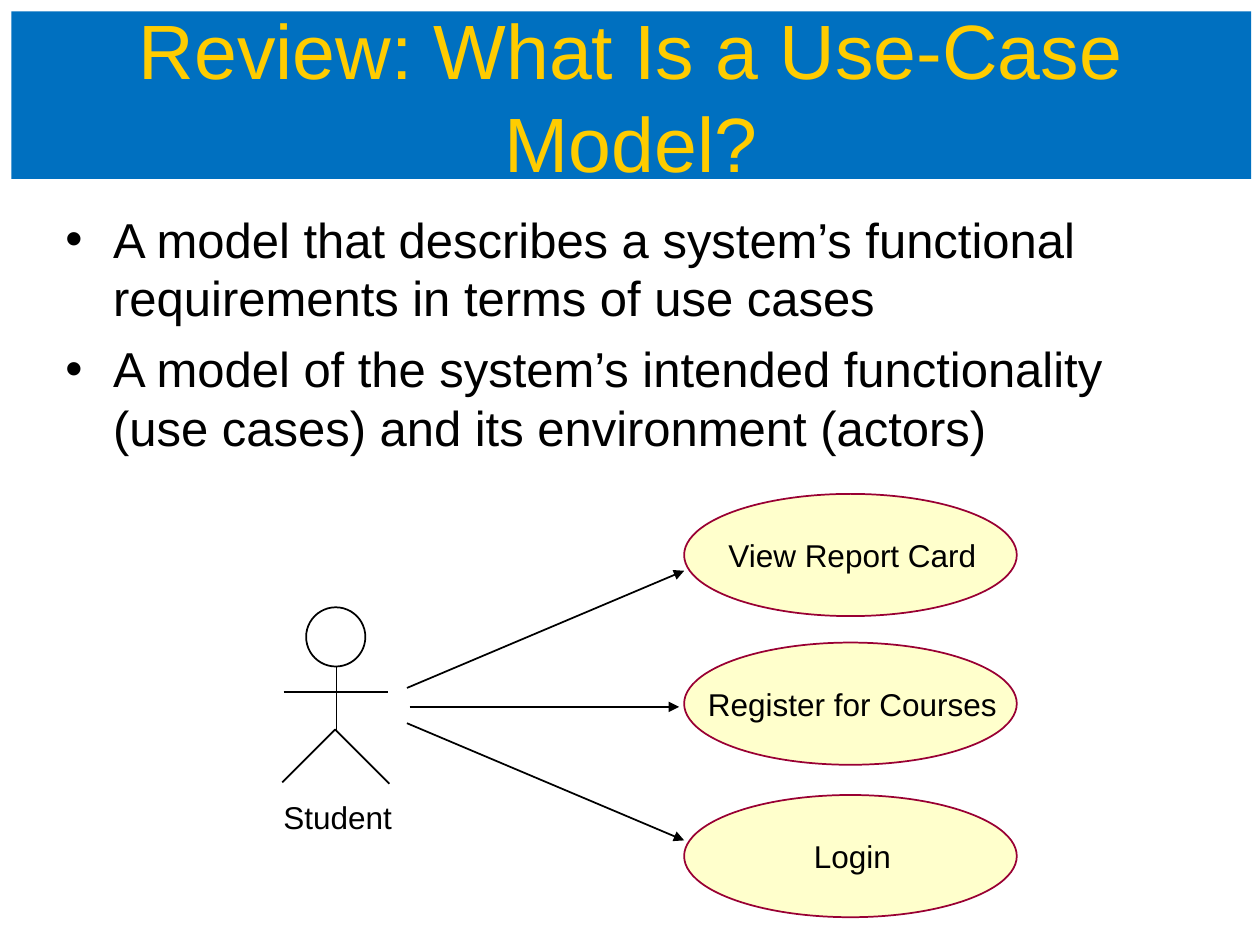
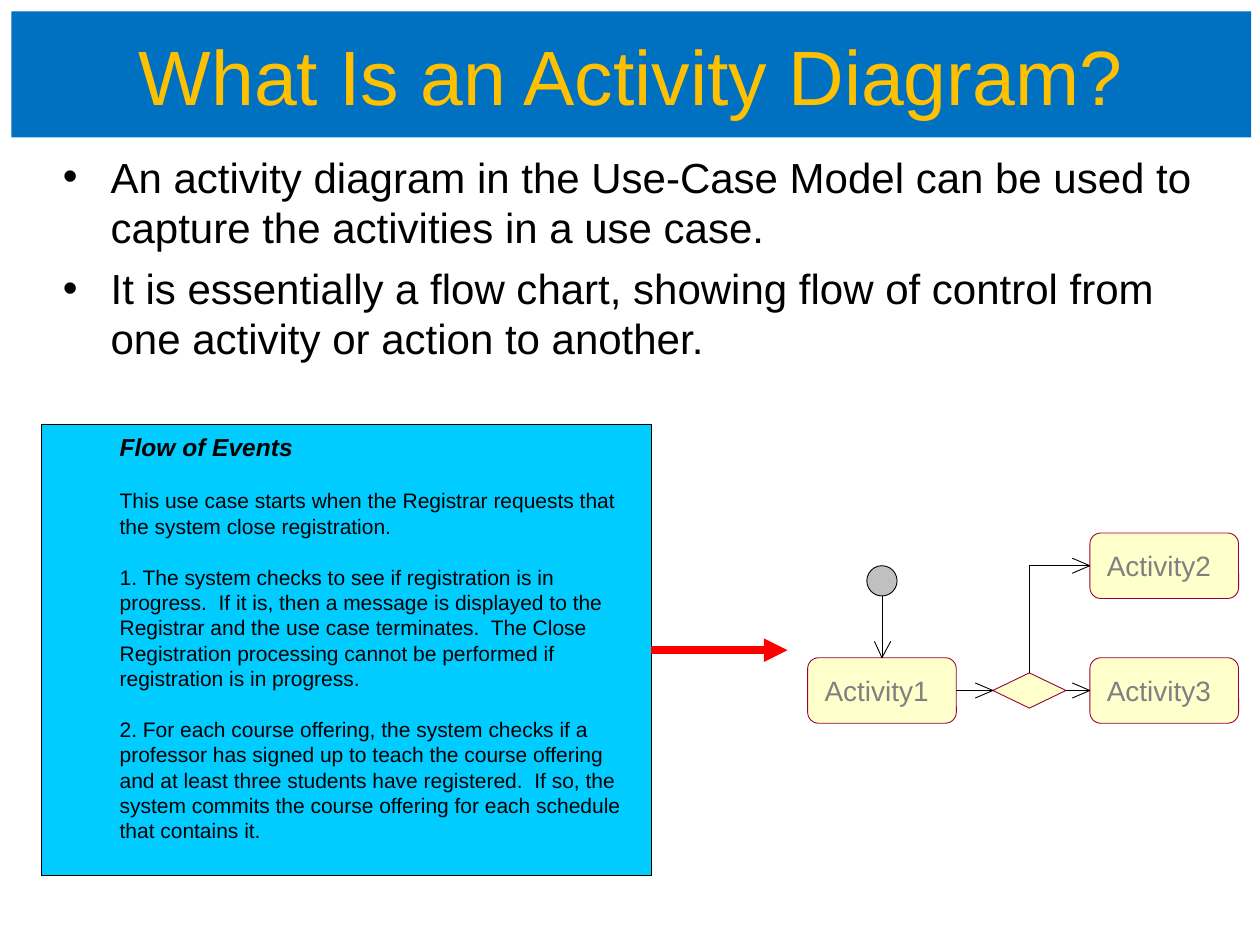
import pptx
import pptx.util
import pptx.dml.color
import pptx.enum.shapes
import pptx.enum.text
import pptx.oxml.ns
from lxml import etree

Inches = pptx.util.Inches
Pt = pptx.util.Pt
RGBColor = pptx.dml.color.RGBColor
SHAPE = pptx.enum.shapes.MSO_SHAPE
ALIGN = pptx.enum.text.PP_ALIGN
ANCHOR = pptx.enum.text.MSO_ANCHOR
qn = pptx.oxml.ns.qn

FONT = "Arial"
HAIRLINE = 0.5
BLUE = RGBColor(0x00, 0x70, 0xC0)
YELLOW = RGBColor(0xFF, 0xCC, 0x00)
GOLD = RGBColor(0xFF, 0xC0, 0x00)
CREAM = RGBColor(0xFF, 0xFF, 0xCC)
MAROON = RGBColor(0x99, 0x00, 0x33)
CYAN = RGBColor(0x00, 0xCC, 0xFF)
SILVER = RGBColor(0xC0, 0xC0, 0xC0)
GRAY = RGBColor(0x80, 0x80, 0x80)
RED = RGBColor(0xFF, 0x00, 0x00)
BLACK = RGBColor(0x00, 0x00, 0x00)


def add_box(s, kind, at, fill=None, line=None, width=HAIRLINE):
    sp = s.shapes.add_shape(kind, *[Inches(v) for v in at])
    sp.shadow.inherit = False
    if fill is None:
        sp.fill.background()
    else:
        sp.fill.solid()
        sp.fill.fore_color.rgb = fill
    if line is None:
        sp.line.fill.background()
    else:
        sp.line.color.rgb = line
        sp.line.width = Pt(width)
    return sp


def add_text(sp, texts, size, color=BLACK, align=ALIGN.LEFT, anchor=ANCHOR.MIDDLE, wrap=True):
    tf = sp.text_frame
    tf.word_wrap = wrap
    tf.vertical_anchor = anchor
    for i, text in enumerate(texts):
        p = tf.paragraphs[0] if i == 0 else tf.add_paragraph()
        p.alignment = align
        r = p.add_run()
        r.text = text
        r.font.name = FONT
        r.font.size = Pt(size)
        r.font.color.rgb = color
    return tf


prs = pptx.Presentation()
prs.slide_width = Inches(10)
prs.slide_height = Inches(7.5)

pages = [
    ("Review: What Is a Use-Case Model?", YELLOW, 1.33, (0.42, 1.61, 9.16, 2.2), 28, 7, [
        "A model that describes a system’s functional requirements in terms of use cases",
        "A model of the system’s intended functionality (use cases) and its environment (actors)",
    ]),
    ("What Is an Activity Diagram?", GOLD, 1, (0.4, 1.15, 9.27, 2), 24, 6, [
        "An activity diagram in the Use-Case Model can be used to capture the activities in a use case.",
        "It is essentially a flow chart, showing flow of control from one activity or action to another.",
    ]),
]
for title, color, height, at, size, gap, bullets in pages:
    s = prs.slides.add_slide(prs.slide_layouts[6])
    band = add_box(s, SHAPE.RECTANGLE, (0.09, 0.09, 9.84, height), BLUE)
    add_text(band, [title], 44, color, ALIGN.CENTER)
    body = s.shapes.add_textbox(*[Inches(v) for v in at])
    tf = add_text(body, bullets, size, anchor=ANCHOR.TOP)
    for i, p in enumerate(tf.paragraphs):
        pPr = p._p.get_or_add_pPr()
        pPr.set("marL", str(Inches(0.38)))
        pPr.set("indent", str(-Inches(0.38)))
        etree.SubElement(pPr, qn("a:buFont")).set("typeface", FONT)
        etree.SubElement(pPr, qn("a:buChar")).set("char", "•")
        if i:
            p.space_before = Pt(gap)

use_case, activity = prs.slides

for name, y in [("View Report Card", 3.92), ("Register for Courses", 5.1), ("Login", 6.31)]:
    sp = add_box(use_case, SHAPE.OVAL, (5.43, y, 2.64, 0.97), CREAM, MAROON, 1)
    tf = add_text(sp, [name], 18, align=ALIGN.CENTER, wrap=False)
    tf.margin_left = Inches(0.13)

add_box(use_case, SHAPE.OVAL, (2.43, 4.82, 0.47, 0.47), None, BLACK, 1)
student = use_case.shapes.add_textbox(Inches(2.13), Inches(6.27), Inches(1.1), Inches(0.42))
add_text(student, ["Student"], 18, align=ALIGN.CENTER, wrap=False)

flow = add_box(activity, SHAPE.RECTANGLE, (0.33, 3.37, 4.84, 3.58), CYAN, BLACK, 0.75)
tf = add_text(flow, [
    "Flow of Events",
    "This use case starts when the Registrar requests that the system close registration.",
    "1. The system checks to see if registration is in progress.  If it is, then a message is "
    "displayed to the Registrar and the use case terminates.  The Close Registration processing "
    "cannot be performed if registration is in progress.",
    "2. For each course offering, the system checks if a professor has signed up to teach the "
    "course offering and at least three students have registered.  If so, the system commits "
    "the course offering for each schedule that contains it.",
], 12, anchor=ANCHOR.TOP)
tf.margin_left = tf.margin_right = Inches(0.12)
tf.margin_top = tf.margin_bottom = Inches(0.06)
for i, p in enumerate(tf.paragraphs):
    p._p.get_or_add_pPr().set("marL", str(Inches(0.5)))
    p.space_after = Pt(3)
    if i:
        p.space_before = Pt(12)
heading = tf.paragraphs[0].runs[0].font
heading.size = Pt(14)
heading.bold = True
heading.italic = True

add_box(activity, SHAPE.OVAL, (6.88, 4.49, 0.24, 0.24), SILVER, BLACK)
decision = add_box(activity, SHAPE.DIAMOND, (7.88, 5.34, 0.58, 0.28), CREAM, MAROON)
steps = []
for name, x, y in [("Activity1", 6.41, 5.22), ("Activity2", 8.65, 4.23), ("Activity3", 8.65, 5.22)]:
    sp = add_box(activity, SHAPE.ROUNDED_RECTANGLE, (x, y, 1.18, 0.52), CREAM, MAROON)
    tf = add_text(sp, [name], 16, GRAY, wrap=False)
    tf.margin_left = Inches(0.11)
    steps.append(sp)
first, second, third = steps

lines = [
    (use_case, (2.67, 5.29, 2.67, 5.8), BLACK, 1, False, None, None),
    (use_case, (2.25, 5.49, 3.08, 5.49), BLACK, 1, False, None, None),
    (use_case, (3.23, 5.46, 5.43, 4.53), BLACK, 1, True, None, None),
    (use_case, (3.25, 5.61, 5.39, 5.61), BLACK, 1, True, None, None),
    (use_case, (3.23, 5.74, 5.43, 6.67), BLACK, 1, True, None, None),
    (activity, (5.17, 5.16, 6.25, 5.16), RED, 4.5, True, (flow, 3), None),
    (activity, (7, 4.73, 7, 5.22), BLACK, HAIRLINE, False, None, (first, 0)),
    (activity, (7.59, 5.48, 7.88, 5.48), BLACK, HAIRLINE, False, (first, 3), (decision, 1)),
    (activity, (8.46, 5.48, 8.65, 5.48), BLACK, HAIRLINE, False, (decision, 3), (third, 1)),
    (activity, (8.17, 5.34, 8.17, 4.49), BLACK, HAIRLINE, False, (decision, 0), None),
    (activity, (8.17, 4.49, 8.65, 4.49), BLACK, HAIRLINE, False, None, (second, 1)),
]
for s, ends, color, width, arrow, begin, end in lines:
    c = s.shapes.add_connector(pptx.enum.shapes.MSO_CONNECTOR.STRAIGHT, *[Inches(v) for v in ends])
    c.line.color.rgb = color
    c.line.width = Pt(width)
    if begin:
        c.begin_connect(*begin)
    if end:
        c.end_connect(*end)
    if arrow:
        etree.SubElement(c.line._get_or_add_ln(), qn("a:tailEnd")).set("type", "triangle")
    etree.SubElement(c._element.spPr, qn("a:effectLst"))

outlines = [
    (use_case, [(2.24, 6.21), (2.66, 5.79), (3.09, 6.22)], 1),
    (activity, [(6.94, 5.09), (7, 5.22), (7.07, 5.09)], HAIRLINE),
]
for x, y in [(7.88, 5.48), (8.65, 5.48), (8.65, 4.49)]:
    outlines.append((activity, [(x - 0.14, y - 0.06), (x, y), (x - 0.14, y + 0.06)], HAIRLINE))
for s, points, width in outlines:
    corners = [(Inches(x), Inches(y)) for x, y in points]
    fb = s.shapes.build_freeform(*corners[0])
    fb.add_line_segments(corners[1:], close=False)
    sp = fb.convert_to_shape()
    sp.shadow.inherit = False
    sp.fill.background()
    sp.line.color.rgb = BLACK
    sp.line.width = Pt(width)

prs.save("out.pptx")
